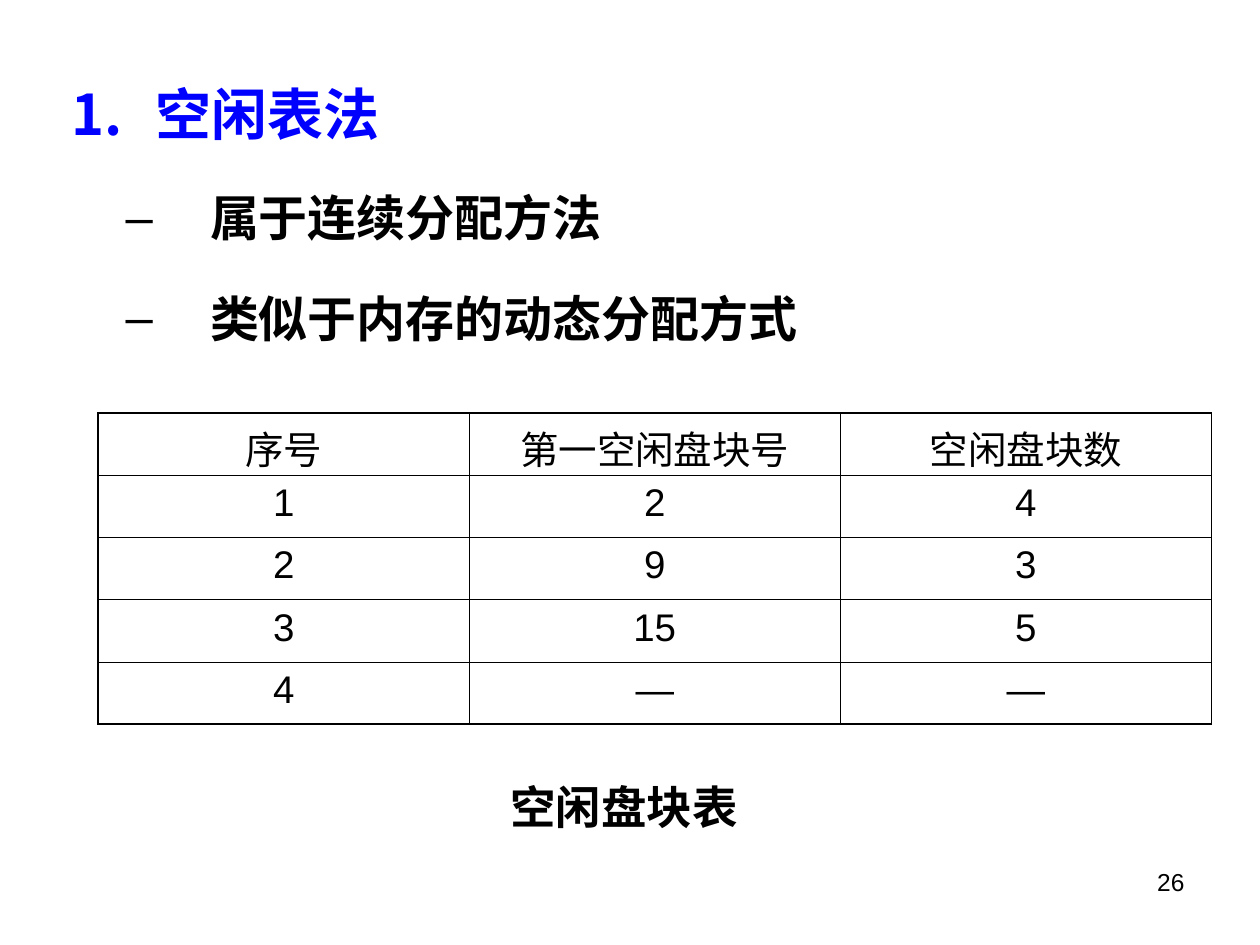
from lxml import etree
from pptx import Presentation
from pptx.dml.color import RGBColor
from pptx.enum.text import MSO_AUTO_SIZE, MSO_ANCHOR, PP_ALIGN
from pptx.oxml.ns import qn
from pptx.util import Cm, Pt

CENTER, RIGHT = PP_ALIGN.CENTER, PP_ALIGN.RIGHT
TOP = MSO_ANCHOR.TOP
FIXED = MSO_AUTO_SIZE.NONE
GROW = MSO_AUTO_SIZE.SHAPE_TO_FIT_TEXT

COLORS = {"head": "0000FF", "text": "000000"}
THIN, THICK = 0.45, 1.08

# Text, level, size, colour, space before, left margin (cm)
POINTS = [
    ("空闲表法", 0, 32, "head", 8, 1.7),
    ("属于连续分配方法", 1, 28, "text", 7, 2.79),
    ("类似于内存的动态分配方式", 1, 28, "text", 7, 2.79),
]
ROWS = [
    ("序号", "第一空闲盘块号", "空闲盘块数"),
    ("1", "2", "4"),
    ("2", "9", "3"),
    ("3", "15", "5"),
    ("4", "—", "—"),
]


def add_run(para, text, size, color="text", bold=False, font="Arial"):
    run = para.add_run()
    run.text = text
    run.font.size = Pt(size)
    run.font.bold = bold
    run.font.name = font
    run.font.color.rgb = RGBColor.from_string(COLORS[color])


def set_bullet(para, level, color, left):
    props = para._p.get_or_add_pPr()
    props.set("marL", str(Cm(left)))
    props.set("indent", str(-Cm(1.7)))
    tint = etree.SubElement(props, qn("a:buClr"))
    etree.SubElement(tint, qn("a:srgbClr"), val=COLORS[color])
    etree.SubElement(props, qn("a:buFont"), typeface="Arial")
    if level:
        etree.SubElement(props, qn("a:buChar"), char="–")
    else:
        etree.SubElement(props, qn("a:buAutoNum"), type="arabicPeriod")


def fill_list(body):
    body.left, body.top = Cm(1.19), Cm(0.79)
    body.width, body.height = Cm(22.86), Cm(6.93)
    frame = body.text_frame
    frame.auto_size = FIXED
    frame.vertical_anchor = TOP
    for i, (text, level, size, color, gap, left) in enumerate(POINTS):
        para = frame.add_paragraph() if i else frame.paragraphs[0]
        para.level = level
        para.line_spacing = 1.5
        para.space_before = Pt(gap)
        set_bullet(para, level, color, left)
        add_run(para, text, size, color, bold=True)


def add_label(slide, box, text, size, align, wrap=True, **style):
    frame = slide.shapes.add_textbox(*map(Cm, box)).text_frame
    frame.word_wrap = wrap
    frame.auto_size = FIXED if wrap else GROW
    para = frame.paragraphs[0]
    para.alignment = align
    add_run(para, text, size, **style)


def set_edge(cell, side, width):
    props = cell._tc.get_or_add_tcPr()
    line = etree.SubElement(props, qn("a:ln" + side), w=str(Pt(width)))
    fill = etree.SubElement(line, qn("a:solidFill"))
    etree.SubElement(fill, qn("a:srgbClr"), val=COLORS["text"])


def add_grid(slide):
    rows, cols = len(ROWS), len(ROWS[0])
    box = map(Cm, (1.98, 8.33, 22.44, 6.27))
    table = slide.shapes.add_table(rows, cols, *box).table
    table.first_row = table.horz_banding = False
    for r, row in enumerate(ROWS):
        for c, text in enumerate(row):
            cell = table.cell(r, c)
            # Outer edges are thick, inner ones thin
            outer = {"L": c == 0, "R": c == cols - 1,
                     "T": r == 0, "B": r == rows - 1}
            for side, thick in outer.items():
                set_edge(cell, side, THICK if thick else THIN)
            cell.fill.background()
            para = cell.text_frame.paragraphs[0]
            para.alignment = CENTER
            para.space_before = Pt(5.5)
            add_run(para, text, 22)


def main():
    deck = Presentation()
    deck.slide_width, deck.slide_height = Cm(25.4), Cm(19.05)
    slide = deck.slides.add_slide(deck.slide_layouts[1])

    # The numbered heading lives in the body, so the title goes
    title = slide.shapes.title
    title._element.getparent().remove(title._element)

    # Page number, list, caption and table
    add_label(slide, (18.21, 17.35, 5.92, 1.32), "26", 14, RIGHT)
    fill_list(slide.placeholders[1])
    add_label(slide, (10.03, 15.57, 5.11, 1.37), "空闲盘块表", 26, CENTER,
              wrap=False, bold=True, font="Times New Roman")
    add_grid(slide)
    deck.save("out.pptx")


if __name__ == "__main__":
    main()
